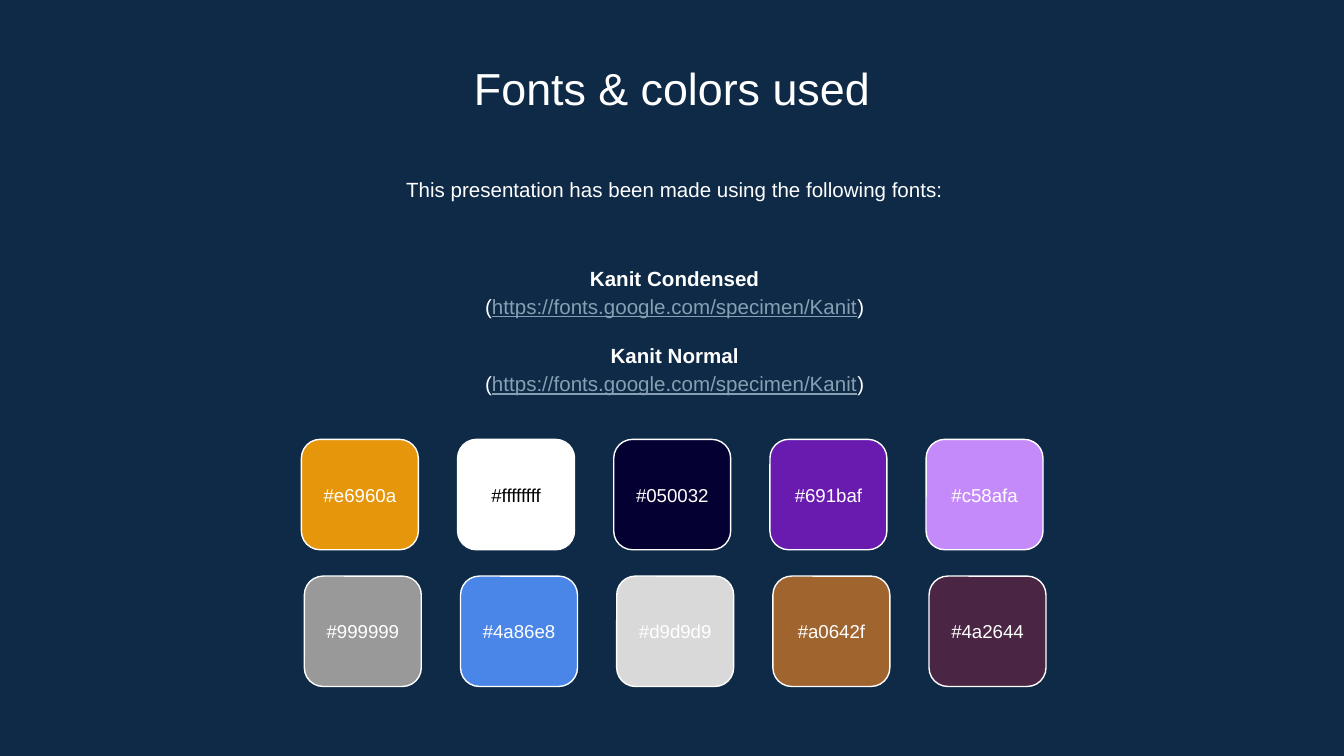
"""Build the fonts and colors slide."""
from pptx import Presentation
from pptx.dml.color import RGBColor
from pptx.enum.shapes import MSO_SHAPE
from pptx.enum.text import MSO_ANCHOR, MSO_AUTO_SIZE, PP_ALIGN
from pptx.util import Inches, Pt

COLORS = {"background": "0E2A47", "text": "FFFFFF", "dark text": "000000", "link": "869FB2"}
FONT_LINK = "https://fonts.google.com/specimen/Kanit"
SWATCH_ROWS = [
    ["#e6960a", "#ffffffff", "#050032", "#691baf", "#c58afa"],
    ["#999999", "#4a86e8", "#d9d9d9", "#a0642f", "#4a2644"],
]

presentation = Presentation()
presentation.slide_width = Inches(10)
presentation.slide_height = presentation.slide_width * 9 // 16
column, row = presentation.slide_width / 100, presentation.slide_height / 100
slide = presentation.slides.add_slide(presentation.slide_layouts[5])
slide.background.fill.solid()
slide.background.fill.fore_color.rgb = RGBColor.from_string(COLORS["background"])


def place(left, top, width, height):
    """Turn grid columns and rows into slide lengths."""
    return int(left * column), int(top * row), int(width * column), int(height * row)


def write(shape, lines, size, anchor=MSO_ANCHOR.MIDDLE, spacing=1.0):
    """Fill a shape with centred lines of (text, color name, font format) runs."""
    frame = shape.text_frame
    frame_format = {"word_wrap": True, "auto_size": MSO_AUTO_SIZE.NONE, "vertical_anchor": anchor}
    for side in ("left", "top", "right", "bottom"):
        frame_format[f"margin_{side}"] = Inches(0.1)
    for name, value in frame_format.items():
        setattr(frame, name, value)
    for index, line in enumerate(lines):
        paragraph = frame.add_paragraph() if index else frame.paragraphs[0]
        paragraph.alignment, paragraph.line_spacing = PP_ALIGN.CENTER, spacing
        for text, color, extra in line:
            run = paragraph.add_run()
            run.text = text
            run.font.color.rgb = RGBColor.from_string(COLORS[color])
            for name, value in {"name": "Arial", "size": Pt(size), **extra}.items():
                setattr(run.font, name, value)


title = slide.shapes.title
title.left, title.top, title.width, title.height = place(11.45, 6.22, 77.1, 9.42)
write(title, [[("Fonts & colors used", "text", {})]], 24, MSO_ANCHOR.TOP)

intro = slide.shapes.add_textbox(*place(11.65, 21.16, 77.1, 8.53))
intro_text = "This presentation has been made using the following fonts:"
write(intro, [[(intro_text, "text", {})]], 11, MSO_ANCHOR.TOP, 1.15)

font_lines = []
for font_name in ("Kanit Condensed", "Kanit Normal"):
    font_lines.append([(font_name, "text", {"bold": True})])
    font_lines.append([("(", "text", {}), (FONT_LINK, "link", {"underline": True}), (")", "text", {})])
font_list = slide.shapes.add_textbox(*place(11.65, 31.35, 77.1, 24.36))
write(font_list, font_lines, 11, spacing=1.15)
font_list.text_frame.paragraphs[2].space_before = Pt(11)

for row_index, codes in enumerate(SWATCH_ROWS):
    for column_index, code in enumerate(codes):
        left = 22.43 + 11.62 * column_index + 0.22 * row_index
        top = 58.13 + 18.08 * row_index
        swatch = slide.shapes.add_shape(MSO_SHAPE.ROUNDED_RECTANGLE, *place(left, top, 8.7, 14.6))
        swatch.adjustments[0] = 0.17
        swatch.shadow.inherit = False
        swatch.fill.solid()
        swatch.fill.fore_color.rgb = RGBColor.from_string(code[1:7].upper())
        swatch.line.color.rgb = RGBColor.from_string(COLORS["text"])
        swatch.line.width = Pt(0.75)
        label = slide.shapes.add_textbox(*place(left, top + 3.02, 8.7, 8.53))
        label_color = "dark text" if code == "#ffffffff" else "text"
        write(label, [[(code, label_color, {})]], 10)

presentation.save("out.pptx")
